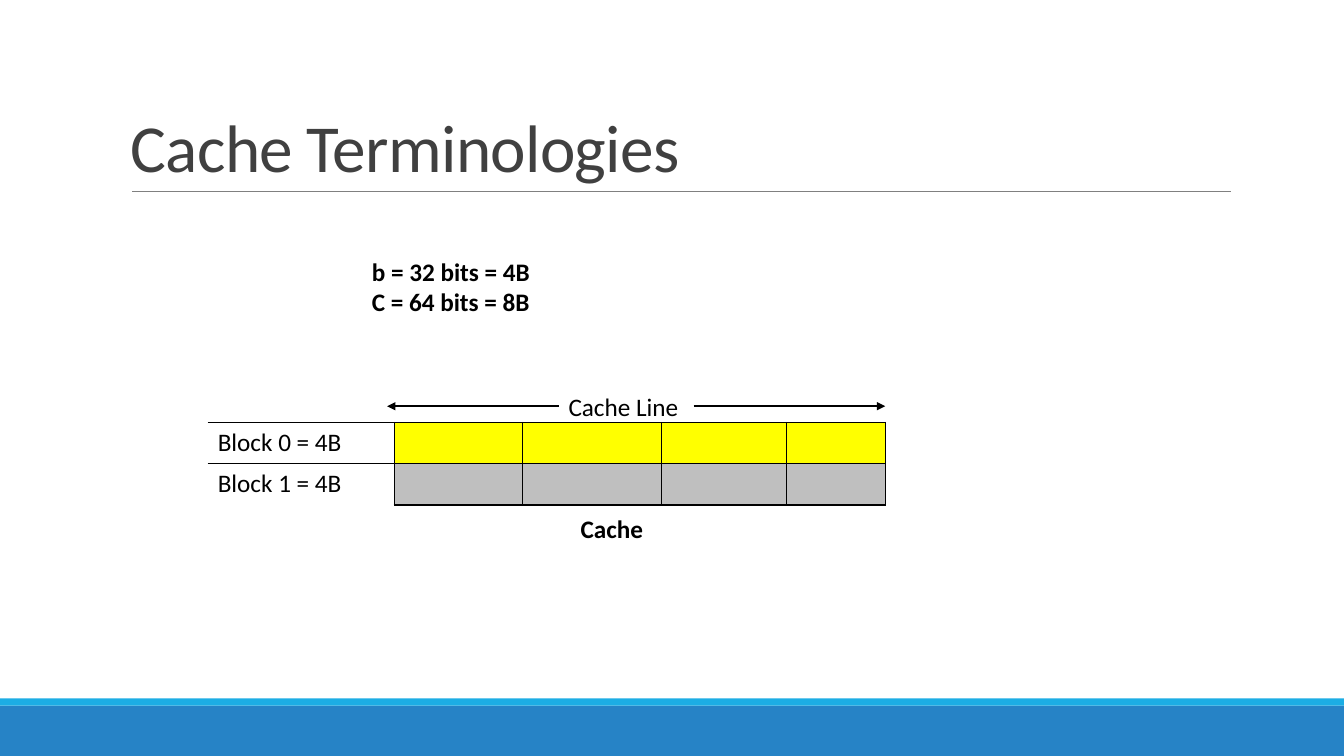
from lxml.etree import SubElement
from pptx import Presentation
from pptx.dml.color import RGBColor as RGB
from pptx.enum.shapes import MSO_CONNECTOR as CONN, MSO_SHAPE as SHAPE
from pptx.enum.text import MSO_ANCHOR as ANCHOR, MSO_AUTO_SIZE as FIT
from pptx.oxml.ns import qn
from pptx.util import Emu, Pt

COLORS = {"footer": "2683C6", "accent": "1CADE4", "rule": "808080", "title": "404040",
          "ink": "000000", "block0": "FFFF00", "block1": "BFBFBF"}
SCALE = 9144  # EMU per px, 100 px to the inch


def px(n):
    return Emu(n * SCALE)


def rgb(name):
    return RGB.from_string(COLORS[name])


class SlideBuilder:
    font = "Calibri"

    def __init__(self, slide):
        self.shapes = slide.shapes

    def style(self, p, size=18, color="ink", bold=False):
        p.font.name, p.font.size, p.font.bold = self.font, Pt(size), bold
        p.font.color.rgb = rgb(color)

    def band(self, x, y, w, h, color):
        sp = self.shapes.add_shape(SHAPE.RECTANGLE, px(x), px(y), px(w), px(h))
        sp.shadow.inherit = False
        sp.fill.solid()
        sp.fill.fore_color.rgb = rgb(color)
        sp.line.fill.background()

    def line(self, x1, x2, y, color, width, arrow=False):
        cxn = self.shapes.add_connector(CONN.STRAIGHT, px(x1), px(y), px(x2), px(y))
        cxn.line.color.rgb = rgb(color)
        cxn.line.width = Pt(width)
        if arrow:
            SubElement(cxn.line._get_or_add_ln(), qn("a:tailEnd"), type="triangle")
        SubElement(cxn._element.spPr, qn("a:effectLst"))

    def text(self, x, y, w, h, lines, **style):
        tf = self.shapes.add_textbox(px(x), px(y), px(w), px(h)).text_frame
        tf.word_wrap = True
        tf.auto_size = FIT.SHAPE_TO_FIT_TEXT
        tf.text = "\n".join(lines)
        for p in tf.paragraphs:
            self.style(p, **style)
        return tf

    def title(self, x, y, w, h, words):
        tf = self.text(x, y, w, h, [words], size=48, color="title")
        tf.auto_size = FIT.NONE
        tf.vertical_anchor = ANCHOR.BOTTOM
        p = tf.paragraphs[0]
        p.line_spacing = 0.85
        p.runs[0].font._element.set("spc", "-50")

    def borders(self, cell, sides):
        tc_pr = cell._tc.get_or_add_tcPr()
        for side in "LRTB":
            ln = SubElement(tc_pr, qn("a:ln" + side), w=str(Pt(1)))
            if side in sides:
                fill = SubElement(ln, qn("a:solidFill"))
                SubElement(fill, qn("a:srgbClr"), val=COLORS["ink"])
            else:
                SubElement(ln, qn("a:noFill"))

    def block_table(self, x, y, widths, row_h, rows):
        table = self.shapes.add_table(len(rows), len(widths), px(x), px(y),
                                      px(sum(widths)), px(row_h * len(rows))).table
        table.first_row = table.horz_banding = False
        for col, w in zip(table.columns, widths):
            col.width = px(w)
        for i, (label, color, label_sides) in enumerate(rows):
            table.rows[i].height = px(row_h)
            for j, cell in enumerate(table.rows[i].cells):
                self.borders(cell, "LRTB" if j else label_sides)
                if j:
                    cell.fill.solid()
                    cell.fill.fore_color.rgb = rgb(color)
                else:
                    cell.fill.background()
                    cell.text = label
                self.style(cell.text_frame.paragraphs[0])


def main():
    prs = Presentation()
    prs.slide_width, prs.slide_height = px(1333), px(750)
    s = SlideBuilder(prs.slides.add_slide(prs.slide_layouts[6]))

    # Footer bands, title and its rule
    s.band(0, 700, 1333, 50, "footer")
    s.band(0, 693, 1333, 7, "accent")
    s.line(131, 1221, 190, "rule", 0.5)
    s.title(120, 31, 1100, 159, "Cache Terminologies")

    # Cache blocks
    s.block_table(206, 419, [185, 127, 138, 124, 98], 41,
                  [("Block 0 = 4B", "block0", "RTB"), ("Block 1 = 4B", "block1", "RT")])

    # Sizes and caption
    s.text(359, 249, 206, 71, ["b = 32 bits = 4B", "C = 64 bits = 8B"], bold=True)
    s.text(566, 504, 202, 42, ["Cache"], bold=True)

    # Cache line span
    for start, end in ((554, 384), (688, 878)):
        s.line(start, end, 403, "ink", 1.75, arrow=True)
    s.text(554, 383, 178, 40, ["Cache Line"])

    prs.save("out.pptx")


if __name__ == "__main__":
    main()
